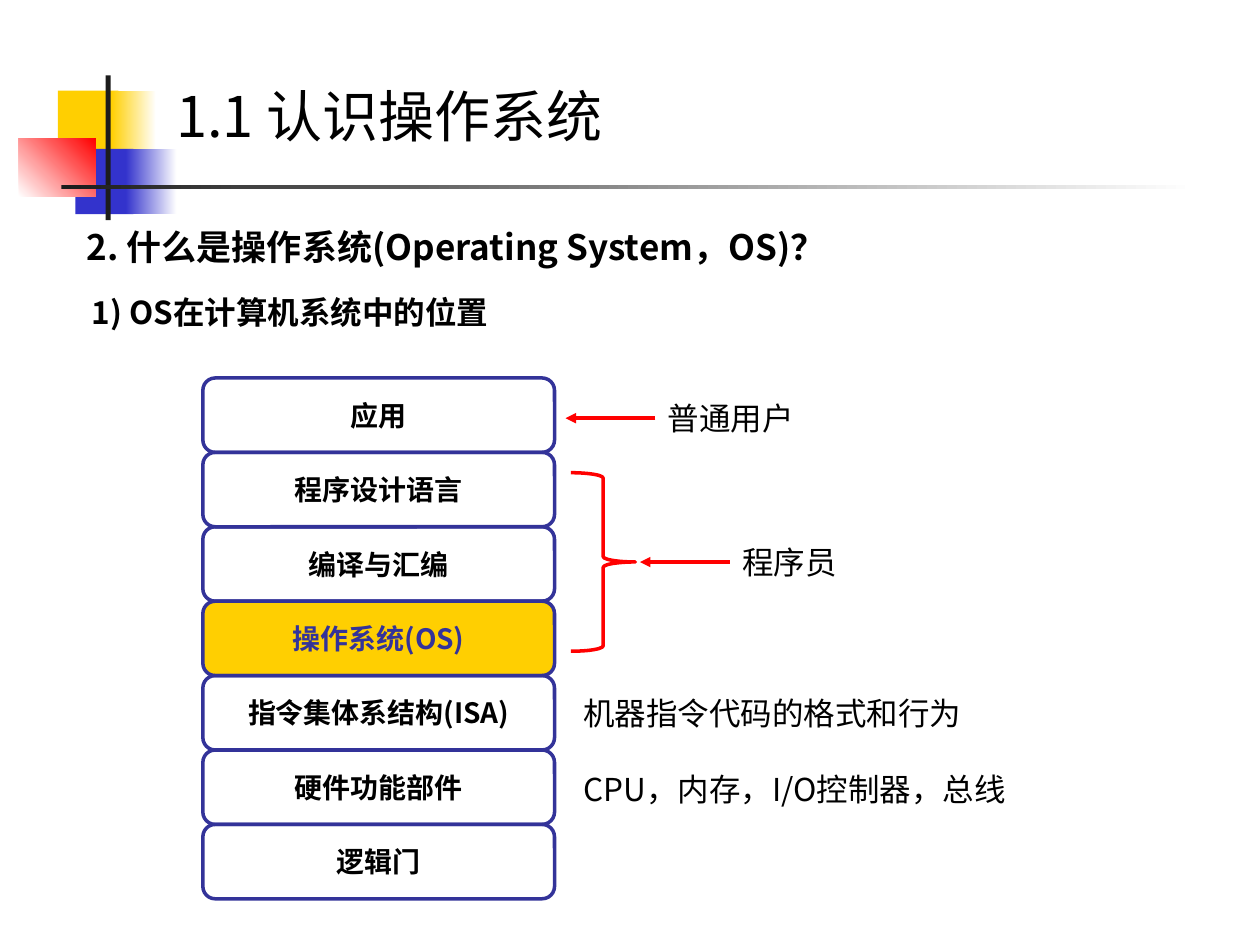
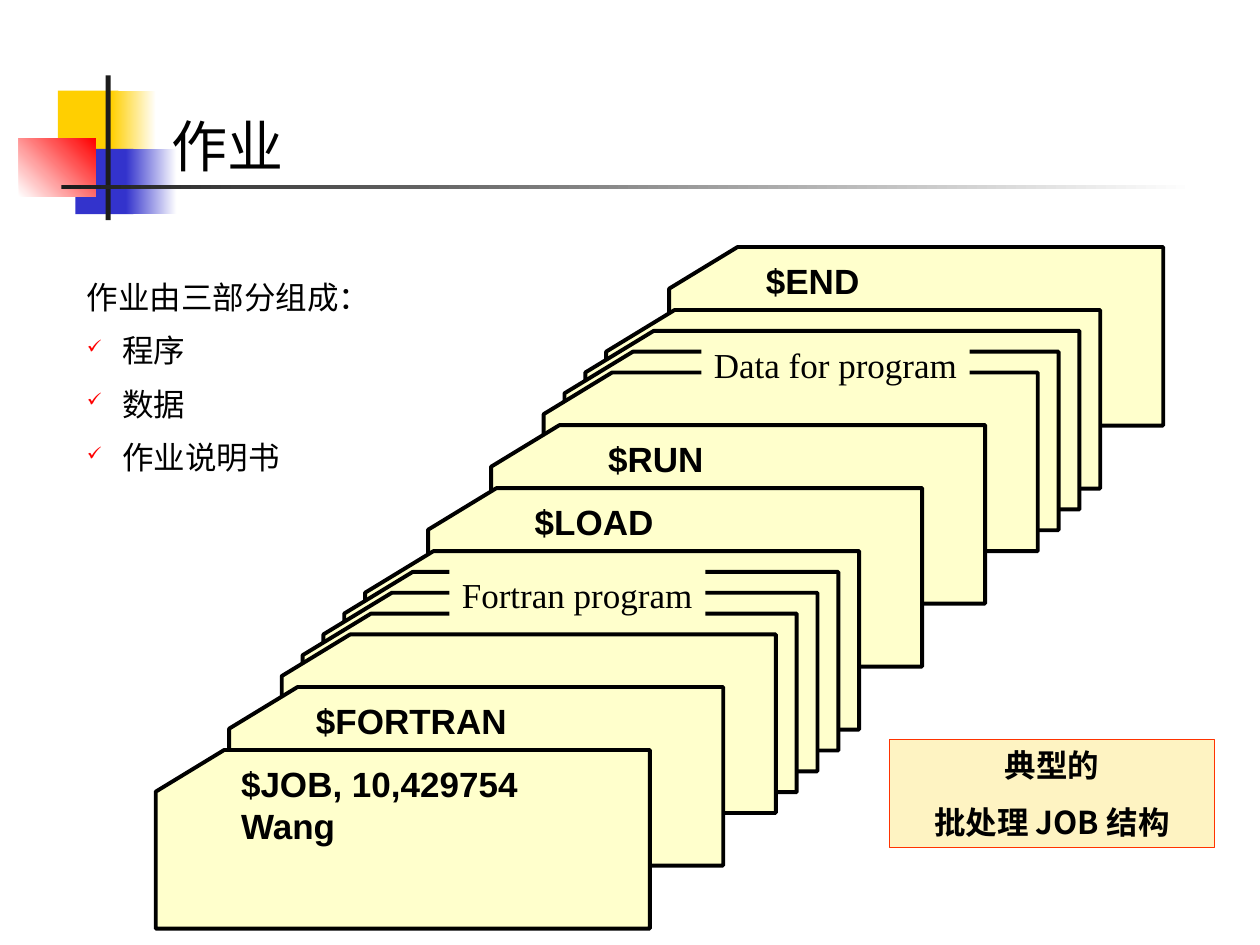
"""Build two lecture slides: where the OS sits in a computer, and the card deck of a batch job."""
from lxml import etree
from pptx import Presentation
from pptx.dml.color import RGBColor
from pptx.enum.shapes import MSO_CONNECTOR as CONN, MSO_SHAPE as SHAPE
from pptx.enum.text import MSO_ANCHOR as ANCHOR, MSO_AUTO_SIZE as AUTO, PP_ALIGN as ALIGN
from pptx.oxml.ns import qn
from pptx.util import Cm, Pt

rgb = RGBColor.from_string
SANS, TITLE_FONT, ARIAL, TIMES = "Noto Sans CJK SC", "Noto Sans CJK JP", "Arial", "Times New Roman"
BLACK, WHITE, DARK, RED = "000000", "FFFFFF", "1C1C1C", "FF0000"
YELLOW, BLUE, NAVY, CARD = "FFCF01", "3333CC", "333399", "FFFFCC"


def style(sp, fill=None, line=None, width=1):
    sp.shadow.inherit = False
    if fill:
        sp.fill.solid()
        sp.fill.fore_color.rgb = rgb(fill)
    else:
        sp.fill.background()
    if line:
        sp.line.color.rgb = rgb(line)
        sp.line.width = Pt(width)
    else:
        sp.line.fill.background()


def write(sp, lines, size, font=SANS, bold=False, color=BLACK, align=ALIGN.LEFT,
          anchor=ANCHOR.TOP, wrap=True, before=0):
    tf = sp.text_frame
    tf.word_wrap = wrap
    tf.auto_size = AUTO.NONE
    tf.vertical_anchor = anchor
    for i, line in enumerate(lines):
        p = tf.add_paragraph() if i else tf.paragraphs[0]
        p.alignment = align
        if i and before:
            p.space_before = Pt(before)
        r = p.add_run()
        r.text = line
        r.font.size = Pt(size)
        r.font.bold = bold
        r.font.name = font
        r.font.color.rgb = rgb(color)
        etree.SubElement(r.font._element, qn("a:ea"), typeface=font)
    return tf


prs = Presentation()
prs.slide_width, prs.slide_height = Cm(25.4), Cm(19.05)
layout = prs.slide_layouts[5]

slides = []
for title, x, y in [("1.1 认识操作系统", 3.3, 1.52), ("作业", 3.2, 2.13)]:
    s = prs.slides.add_slide(layout)
    sp = s.shapes.title
    sp.left, sp.top, sp.width, sp.height = Cm(x), Cm(y), Cm(25.4 - x), Cm(1.63)
    write(sp, [title], 32, TITLE_FONT)
    slides.append(s)
os_slide, job_slide = slides

ornament = [
    (1.17, 1.83, 1.22, 1.32, YELLOW, None, 0),
    (2.24, 1.83, 0.91, 1.32, YELLOW, WHITE, 0),
    (1.52, 3, 1.17, 1.32, BLUE, None, 0),
    (2.54, 3, 1.02, 1.32, BLUE, WHITE, 0),
    (0.38, 2.79, 1.55, 1.17, WHITE, RED, 45),
    (2.13, 1.52, 0.1, 2.92, DARK, None, 0),
    (1.24, 3.73, 22.86, 0.08, DARK, WHITE, 0),
]
for x, y, w, h, start, end, angle in ornament:
    sp = os_slide.shapes.add_shape(SHAPE.RECTANGLE, Cm(x), Cm(y), Cm(w), Cm(h))
    style(sp, start)
    if end:
        sp.fill.gradient()
        sp.fill.gradient_angle = angle
        for stop, color in zip(sp.fill.gradient_stops, (start, end)):
            stop.color.rgb = rgb(color)
    layout.shapes.element.append(sp.element)

s = os_slide
texts = [
    ("2. 什么是操作系统(Operating System，OS)？", 1.5, 4.42, 18.8, 1.12, 20, True),
    ("1) OS在计算机系统中的位置", 1.6, 5.79, 11.61, 1.02, 18, True),
    ("普通用户", 13.21, 7.92, 8.2, 1.02, 18, False),
    ("程序员", 14.71, 10.82, 6, 1.02, 18, False),
    ("机器指令代码的格式和行为", 11.51, 13.87, 8.2, 1.02, 18, False),
    ("CPU，内存，I/O控制器，总线", 11.51, 15.39, 9.19, 1.78, 18, False),
]
for text, x, y, w, h, size, bold in texts:
    sp = s.shapes.add_textbox(Cm(x), Cm(y), Cm(w), Cm(h))
    write(sp, [text], size, bold=bold)

OS_LAYER = "操作系统(OS)"
layers = ["应用", "程序设计语言", "编译与汇编", OS_LAYER, "指令集体系结构(ISA)", "硬件功能部件", "逻辑门"]
for i, layer in enumerate(layers):
    is_os = layer == OS_LAYER
    sp = s.shapes.add_shape(SHAPE.ROUNDED_RECTANGLE, Cm(4.09), Cm(7.62 + i * 1.5), Cm(7.09), Cm(1.5))
    style(sp, YELLOW if is_os else None, NAVY, 2)
    write(sp, [layer], 16, bold=True, color=NAVY if is_os else BLACK,
          align=ALIGN.CENTER, anchor=ANCHOR.MIDDLE, wrap=False)

brace = s.shapes.add_shape(SHAPE.RIGHT_BRACE, Cm(11.51), Cm(9.53), Cm(1.3), Cm(3.6))
style(brace, None, RED, 2)
for x, y in [(13.21, 8.43), (14.71, 11.33)]:
    arrow = s.shapes.add_connector(CONN.STRAIGHT, Cm(x), Cm(y), Cm(x - 1.81), Cm(y))
    arrow.line.color.rgb = rgb(RED)
    arrow.line.width = Pt(2)
    etree.SubElement(arrow.line._get_or_add_ln(), qn("a:tailEnd"), type="triangle")
    etree.SubElement(arrow.element.spPr, qn("a:effectLst"))

s = job_slide
sp = s.shapes.add_textbox(Cm(1.5), Cm(5.33), Cm(8.2), Cm(4.39))
tf = write(sp, ["作业由三部分组成：", "程序", "数据", "作业说明书"], 18, before=4.5)
for i, p in enumerate(tf.paragraphs):
    p.line_spacing = 1.2
    if i:
        pPr = p._p.get_or_add_pPr()
        pPr.set("marL", str(Cm(0.72)))
        pPr.set("indent", str(-Cm(0.72)))
        etree.SubElement(etree.SubElement(pPr, qn("a:buClr")), qn("a:srgbClr"), val=RED)
        etree.SubElement(pPr, qn("a:buSzPct"), val="60000")
        etree.SubElement(pPr, qn("a:buChar"), char="✓")

WIDE, NARROW, MEDIUM = 1.27, 0.42, 1.06
CARD_W, CARD_H, CUT_W, CUT_H = 9.96, 3.6, 1.38, 0.84
cards = [
    (0, ["$END"], 1.7, 0.13, 2.39),
    (WIDE, None, 0, 0, 0),
    *[(NARROW, None, 0, 0, 0)] * 2,
    (NARROW, ["Data for program"], 3.18, -0.71, 5.41),
    (MEDIUM, ["$RUN"], 2.11, 0.13, 2.44),
    (WIDE, ["$LOAD"], 1.9, 0.13, 2.9),
    (WIDE, None, 0, 0, 0),
    *[(NARROW, None, 0, 0, 0)] * 3,
    (NARROW, ["Fortran program"], 3.38, -1.35, 5.16),
    (MEDIUM, ["$FORTRAN"], 1.5, 0.13, 4.55),
    (WIDE, ["$JOB, 10,429754", "Wang"], 1.47, 0.13, 6.27),
]
x, y = 13.49, 4.98
for step, label, dx, dy, w in cards:
    x, y = x - step, y + step
    left = x - 0.21 if step and label and len(label) > 1 else x
    outline = s.shapes.build_freeform(Cm(left + CUT_W), Cm(y))
    outline.add_line_segments([
        (Cm(left + CARD_W), Cm(y)), (Cm(left + CARD_W), Cm(y + CARD_H)),
        (Cm(left), Cm(y + CARD_H)), (Cm(left), Cm(y + CUT_H))])
    style(outline.convert_to_shape(), CARD, BLACK, 2.25)
    if label:
        is_command = label[0].startswith("$")
        sp = s.shapes.add_textbox(Cm(left + dx), Cm(y + dy), Cm(w), Cm(0.28 + 0.84 * len(label)))
        if not is_command:
            sp.fill.solid()
            sp.fill.fore_color.rgb = rgb(CARD)
        write(sp, label, 20, ARIAL if is_command else TIMES, bold=is_command, wrap=False)

sp = s.shapes.add_shape(SHAPE.RECTANGLE, Cm(17.93), Cm(14.91), Cm(6.55), Cm(2.18))
style(sp, "FEF3C2", "FF3300", 0.75)
write(sp, ["典型的", "批处理 JOB 结构"], 18, bold=True, align=ALIGN.CENTER, before=11.2)

prs.save("out.pptx")
